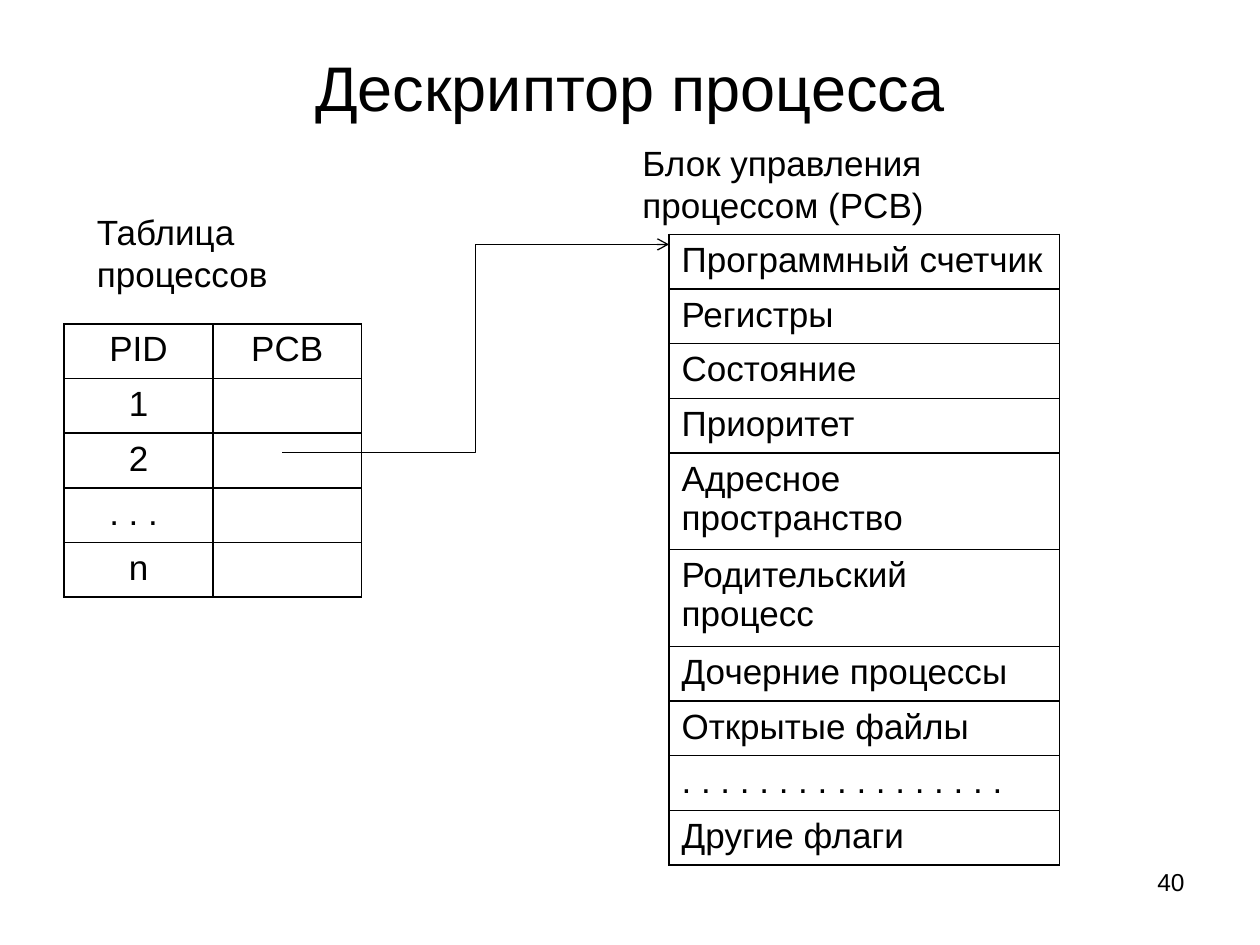
from lxml.etree import SubElement
from pptx import Presentation
from pptx.dml.color import RGBColor
from pptx.enum.shapes import MSO_CONNECTOR as Connector
from pptx.enum.text import MSO_ANCHOR as Anchor, PP_ALIGN as Align
from pptx.oxml.ns import qn
from pptx.util import Inches, Pt

TITLE = "Дескриптор процесса"
CAPTIONS = [
    ("40", (7.17, 6.83, 2.33, 0.52), 14, Align.RIGHT),
    ("Таблица процессов", (0.67, 1.62, 2.28, 0.77), 20, Align.LEFT),
    ("Блок управления процессом (PCB)", (5, 1.07, 3.86, 0.77), 20, Align.LEFT),
]
PROCESSES = [("PID", "PCB"), ("1", ""), ("2", ""), (". . . ", ""), ("n", "")]
CONTROL_BLOCK = [
    "Программный счетчик", "Регистры", "Состояние", "Приоритет",
    "Адресное пространство", "Родительский процесс", "Дочерние процессы",
    "Открытые файлы", ". . . . . . . . . . . . . . . . .", "Другие флаги",
]
TABLES = [
    (PROCESSES, 0.51, 2.57, 1.18, Align.CENTER),
    ([(field,) for field in CONTROL_BLOCK], 5.31, 1.86, 3.1, Align.LEFT),
]
LINK = (2.24, 3.59, 5.31, 1.94)
ROW_HEIGHT = 0.41
BLACK = "000000"


def color(value):
    return RGBColor.from_string(value)


def write(frame, text, size, align):
    frame.word_wrap = True
    frame.text = text
    paragraph = frame.paragraphs[0]
    paragraph.alignment = align
    paragraph.font.size = Pt(size)
    paragraph.font.name = "Arial"
    paragraph.font.color.rgb = color(BLACK)


def add_borders(cell):
    properties = cell._tc.get_or_add_tcPr()
    for side in ("a:lnL", "a:lnR", "a:lnT", "a:lnB"):
        border = SubElement(properties, qn(side), w=str(Pt(1)))
        fill = SubElement(border, qn("a:solidFill"))
        SubElement(fill, qn("a:srgbClr"), val=BLACK)


def add_grid(slide, rows, left, top, column_width, align):
    columns = len(rows[0])
    table = slide.shapes.add_table(
        len(rows), columns, Inches(left), Inches(top),
        Inches(column_width * columns), Inches(ROW_HEIGHT * len(rows))).table
    table.first_row = table.horz_banding = False
    for r, row in enumerate(rows):
        for c, text in enumerate(row):
            cell = table.cell(r, c)
            write(cell.text_frame, text, 20, align)
            add_borders(cell)
            cell.fill.background()


def add_link(slide, ends):
    link = slide.shapes.add_connector(Connector.ELBOW, *map(Inches, ends))
    link.line.color.rgb = color(BLACK)
    link.line.width = Pt(0.75)
    SubElement(link.line._get_or_add_ln(), qn("a:tailEnd"), type="arrow")
    SubElement(link._element.spPr, qn("a:effectLst"))


def main():
    """Build the process descriptor slide."""
    deck = Presentation()
    deck.slide_width, deck.slide_height = Inches(10), Inches(7.5)
    slide = deck.slides.add_slide(deck.slide_layouts[5])
    title = slide.shapes.title
    title.left, title.top, title.width, title.height = map(Inches, (0.5, 0.3, 9, 0.77))
    write(title.text_frame, TITLE, 36, Align.CENTER)
    title.text_frame.vertical_anchor = Anchor.MIDDLE
    for text, box, size, align in CAPTIONS:
        caption = slide.shapes.add_textbox(*map(Inches, box))
        write(caption.text_frame, text, size, align)
    for grid in TABLES:
        add_grid(slide, *grid)
    add_link(slide, LINK)
    deck.save("out.pptx")


if __name__ == "__main__":
    main()
